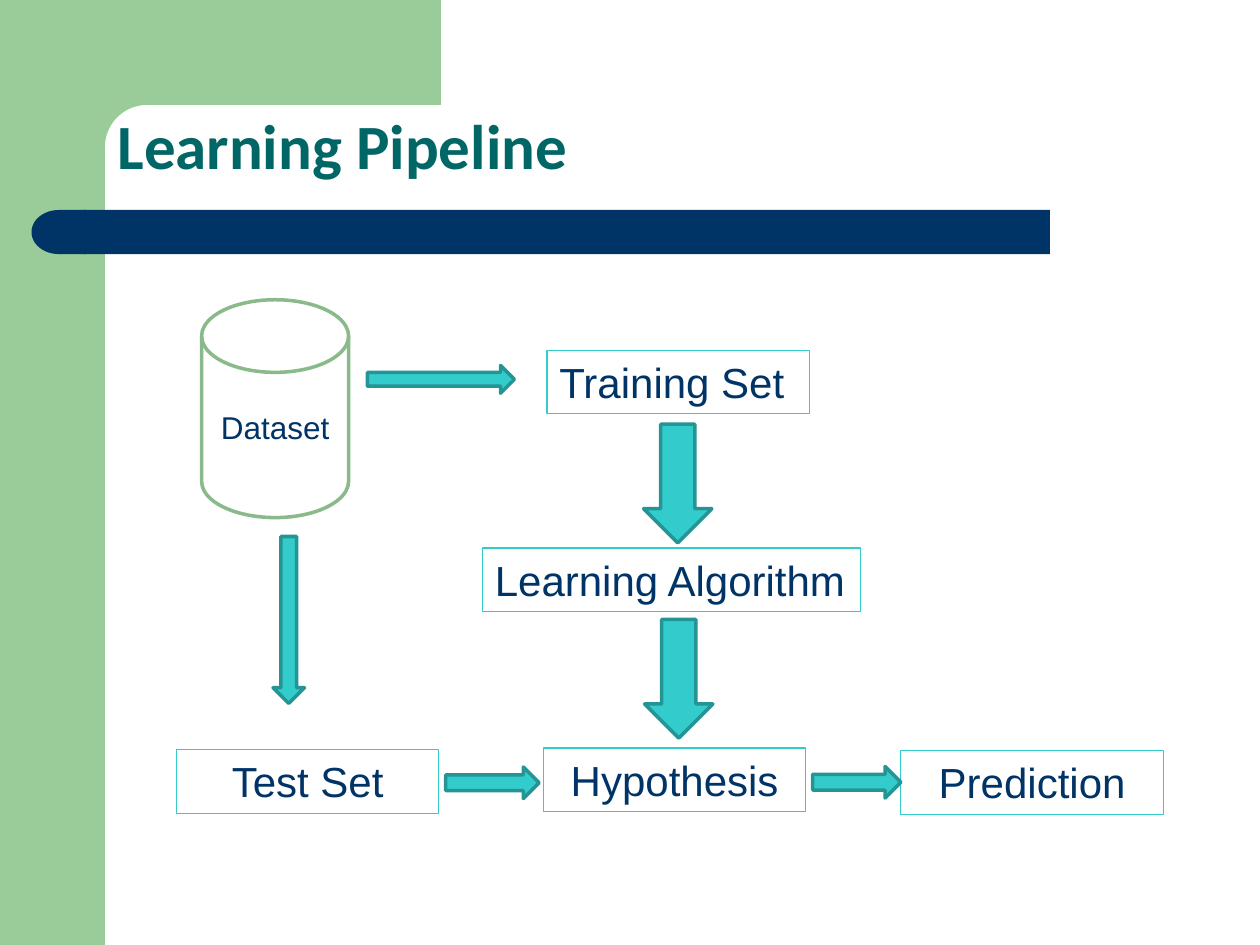
from math import cos, pi, sin

from pptx import Presentation
from pptx.dml.color import RGBColor
from pptx.enum.shapes import MSO_SHAPE
from pptx.enum.text import MSO_ANCHOR, PP_ALIGN
from pptx.util import Inches, Pt

RECT = MSO_SHAPE.RECTANGLE
DELAY = MSO_SHAPE.FLOWCHART_DELAY
DISK = MSO_SHAPE.FLOWCHART_MAGNETIC_DISK
RIGHT = MSO_SHAPE.RIGHT_ARROW
DOWN = MSO_SHAPE.DOWN_ARROW
TOP, MIDDLE, BOTTOM = MSO_ANCHOR.TOP, MSO_ANCHOR.MIDDLE, MSO_ANCHOR.BOTTOM
LEFT, CENTER = PP_ALIGN.LEFT, PP_ALIGN.CENTER

GREEN = RGBColor(0x99, 0xCC, 0x99)
SAGE = RGBColor(0x8A, 0xB9, 0x8A)
NAVY = RGBColor(0x00, 0x33, 0x66)
PINE = RGBColor(0x00, 0x66, 0x66)
AQUA = RGBColor(0x33, 0xCC, 0xCC)
TEAL = RGBColor(0x25, 0x94, 0x94)
WHITE = RGBColor(0xFF, 0xFF, 0xFF)

WIDTH, HEIGHT = Inches(10), Inches(7.5)
COLS, ROWS = 120, 90

TITLE = {"name": "Calibri", "size": Pt(36), "bold": True}
LABEL = {"name": "Arial", "size": Pt(24)}
SMALL = {"name": "Arial", "size": Pt(18)}

BOXES = [
    ("Training Set", 52.1, 33.35, 25, LEFT),
    ("Learning Algorithm", 45.95, 52.2, 36, LEFT),
    ("Hypothesis", 51.75, 71.25, 25, CENTER),
    ("Prediction", 85.8, 71.5, 25, CENTER),
    ("Test Set", 16.8, 71.4, 25, CENTER),
]
ARROWS = [
    (DOWN, 61.4, 59, 6.5, 11.3),
    (DOWN, 61.3, 40.4, 6.5, 11.3),
    (DOWN, 26, 51.1, 3, 15.9),
    (RIGHT, 77.4, 73, 8.4, 3),
    (RIGHT, 42.45, 73.05, 8.9, 3),
    (RIGHT, 35, 34.8, 14, 2.65),
]


def place(col, row):
    return round(WIDTH * col / COLS), round(HEIGHT * row / ROWS)


def paint(shape, fill, line=None, width=0.75):
    shape.shadow.inherit = False
    if fill is None:
        shape.fill.background()
    else:
        shape.fill.solid()
        shape.fill.fore_color.rgb = fill
    if line is None:
        shape.line.fill.background()
    else:
        shape.line.color.rgb = line
        shape.line.width = Pt(width)


def draw(slide, kind, col, row, wide, high, fill, line=None, width=0.75):
    shape = slide.shapes.add_shape(kind, *place(col, row), *place(wide, high))
    paint(shape, fill, line, width)
    return shape


def write(shape, text, font, color, align=LEFT, anchor=TOP):
    frame = shape.text_frame
    frame.word_wrap = True
    frame.vertical_anchor = anchor
    para = frame.paragraphs[0]
    para.alignment = align
    run = para.add_run()
    run.text = text
    run.font.color.rgb = color
    for key, value in font.items():
        setattr(run.font, key, value)
    return para


def corner(slide):
    radius, steps = 4, 16
    center = 10 + radius
    turns = [pi / 2 * i / steps for i in range(steps + 1)]
    curve = [(center - radius * sin(t), center - radius * cos(t)) for t in turns]
    points = [(42, 0), (42, 10), *curve, (10, 15.4), (6, 15.4), (6, 0)]
    start, *rest = [place(*point) for point in points]
    form = slide.shapes.build_freeform(*start)
    form.add_line_segments(rest, close=True)
    paint(form.convert_to_shape(), GREEN)


def frame(slide):
    draw(slide, RECT, 0, 0, 10, ROWS, GREEN)
    corner(slide)
    draw(slide, RECT, 8, 20, 92, 4.2, NAVY)
    cap = draw(slide, DELAY, 3, 20, 5.2, 4.2, NAVY)
    cap.element.spPr.get_or_add_xfrm().set("flipH", "1")


def title(slide, text):
    box = slide.shapes.add_textbox(*place(10, 10), *place(104, 8))
    para = write(box, text, TITLE, PINE, anchor=BOTTOM)
    para.line_spacing = 0.9


def main():
    deck = Presentation()
    deck.slide_width, deck.slide_height = WIDTH, HEIGHT
    slide = deck.slides.add_slide(deck.slide_layouts[6])
    frame(slide)
    title(slide, "Learning Pipeline")
    for text, col, row, wide, align in BOXES:
        box = draw(slide, RECT, col, row, wide, 6.05, None, AQUA)
        write(box, text, LABEL, NAVY, align)
    disk = draw(slide, DISK, 19.2, 28.55, 14, 20.75, WHITE, SAGE, 2)
    write(disk, "Dataset", SMALL, NAVY, CENTER, MIDDLE)
    for arrow in ARROWS:
        draw(slide, *arrow, AQUA, TEAL, 2)
    deck.save("out.pptx")


if __name__ == "__main__":
    main()
